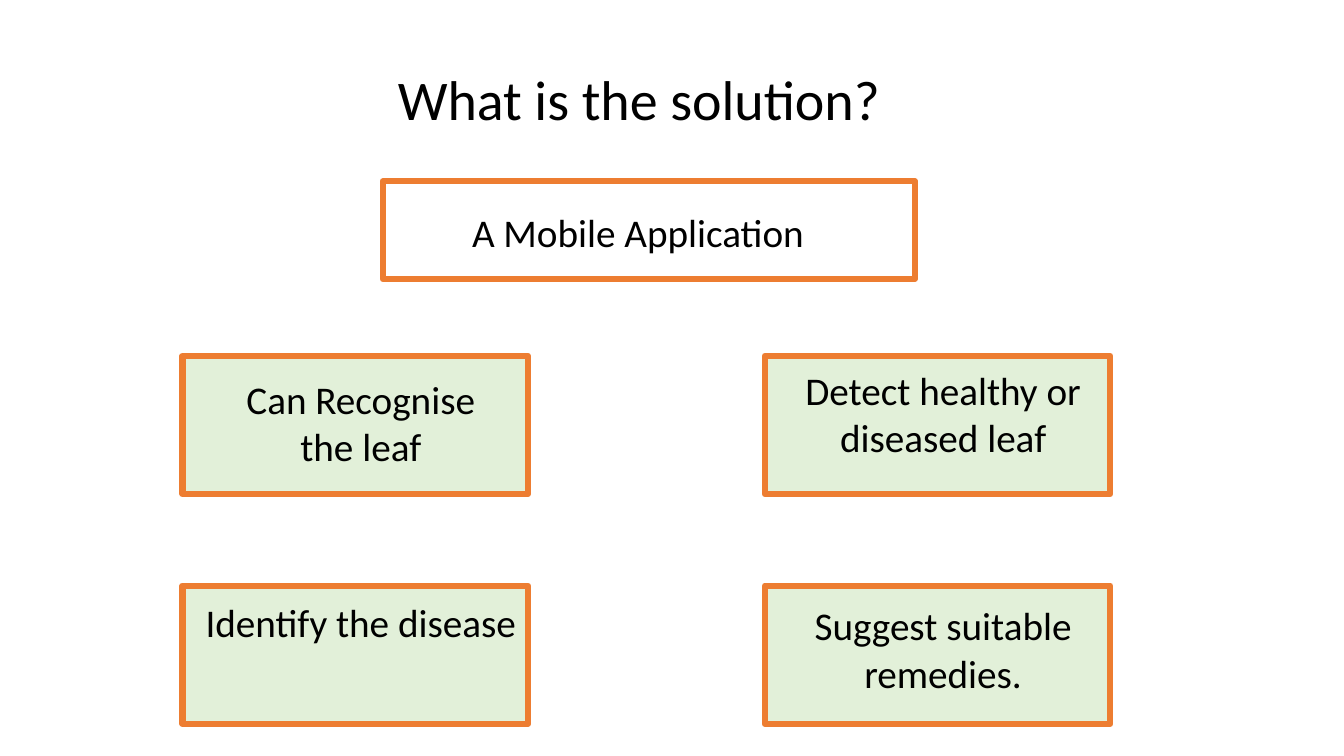
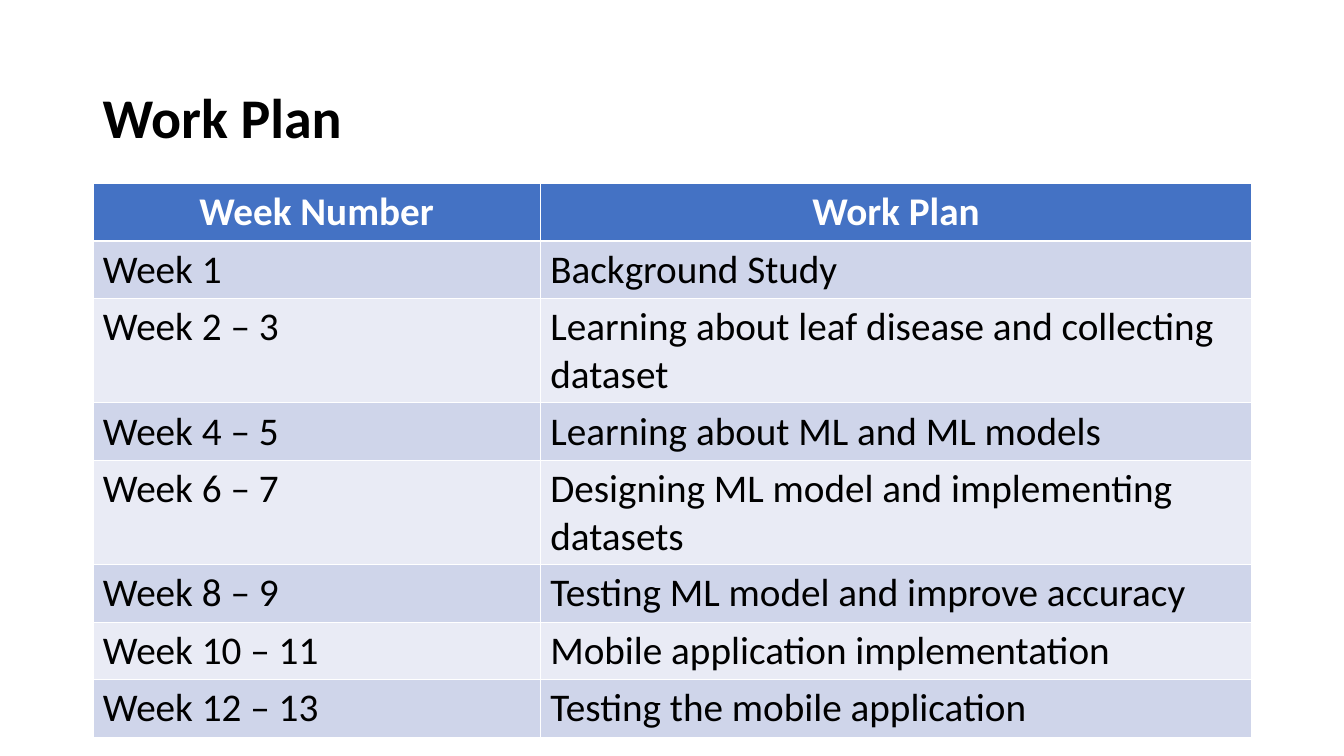
from dataclasses import dataclass
from itertools import product
from typing import NamedTuple, Optional

from lxml.etree import SubElement
from pptx import Presentation
from pptx.dml.color import RGBColor as Color
from pptx.enum.shapes import MSO_SHAPE as ShapeKind
from pptx.enum.text import MSO_ANCHOR as Anchor, PP_ALIGN as Align
from pptx.oxml.ns import qn
from pptx.util import Cm, Pt


@dataclass(frozen=True)
class Theme:
    """Colours, font, type sizes and line widths of the presentation."""
    font: str = "Calibri"
    title_size: float = 40
    body_size: float = 28
    box_line: float = 4.5
    grid_line: float = 0.45
    header_line: float = 1.5
    text: str = "000000"
    light: str = "FFFFFF"
    accent: str = "ED7D31"
    box_fill: str = "E2F0D9"
    header_fill: str = "4472C4"
    bands: tuple = ("CFD5EA", "E9EBF5")


class Area(NamedTuple):
    """Place and size in centimetres."""
    left: float
    top: float
    width: float
    height: float

    def lengths(self) -> list:
        """Return the four values as lengths."""
        return [Cm(value) for value in self]


class Feature(NamedTuple):
    """Lines of a feature label and its drop below the box top."""
    lines: tuple
    drop: float
    height: float = 2.64


class Task(NamedTuple):
    """One row of the work plan."""
    weeks: str
    work: str
    height: float = 1.45


THEME = Theme()

SOLUTION_TITLE = Area(9.78, 1.04, 13.31, 2.44)
PLAN_TITLE = Area(2.34, 1.02, 29.21, 2.9)
APPLICATION_BOX = Area(9.65, 4.57, 13.41, 2.46)
APPLICATION_LABEL = Area(11.07, 5.13, 11.07, 1.45)
APPLICATION_INDENT = 0.83

FEATURE_LEFTS = (4.6, 19.28)
FEATURE_TOPS = (8.97, 14.76)
FEATURE_WIDTH, FEATURE_HEIGHT = 8.71, 3.48
LABEL_WIDTH = 8.99
FEATURES = (
    Feature(("Can Recognise", "the leaf"), 0.36),
    Feature(("Detect healthy or diseased leaf",), 0.13),
    Feature(("Identify the disease",), 0.2, 1.45),
    Feature(("Suggest suitable remedies.",), 0.28),
)

PLAN_LEFT, PLAN_TOP = 2.34, 4.62
PLAN_WIDTHS = (11.28, 17.93)
TALL_ROW = 2.62
PLAN = (
    Task("Week Number", "Work Plan"),
    Task("Week 1", "Background Study"),
    Task("Week 2 – 3", "Learning about leaf disease and collecting dataset", TALL_ROW),
    Task("Week 4 – 5", "Learning about ML and ML models"),
    Task("Week 6 – 7", "Designing ML model and implementing datasets", TALL_ROW),
    Task("Week 8 – 9", "Testing ML model and improve accuracy"),
    Task("Week 10 – 11", "Mobile application implementation"),
    Task("Week 12 – 13", "Testing the mobile application"),
)


def add_run(paragraph, text: str, size: float = THEME.body_size,
            color: str = THEME.text, bold: bool = False) -> None:
    """Add one formatted run to a paragraph."""
    run = paragraph.add_run()
    run.text = text
    run.font.name = THEME.font
    run.font.size = Pt(size)
    run.font.bold = bold
    run.font.color.rgb = Color.from_string(color)


def add_text_frame(slide, area: Area, anchor: Anchor = Anchor.TOP):
    """Add a wrapping text box and return its text frame."""
    frame = slide.shapes.add_textbox(*area.lengths()).text_frame
    frame.word_wrap = True
    frame.vertical_anchor = anchor
    return frame


def add_title(slide, area: Area, text: str, bold: bool = False) -> None:
    """Add a slide title that sits on the bottom of its area."""
    paragraph = add_text_frame(slide, area, Anchor.BOTTOM).paragraphs[0]
    paragraph.line_spacing = 0.9
    add_run(paragraph, text, THEME.title_size, bold=bold)


def add_box(slide, area: Area, fill: Optional[str] = None) -> None:
    """Add an outlined rectangle, filled if a colour is given."""
    box = slide.shapes.add_shape(ShapeKind.RECTANGLE, *area.lengths())
    box.shadow.inherit = False
    box.line.color.rgb = Color.from_string(THEME.accent)
    box.line.width = Pt(THEME.box_line)
    if fill:
        box.fill.solid()
        box.fill.fore_color.rgb = Color.from_string(fill)
    else:
        box.fill.background()


def add_feature(slide, left: float, top: float, feature: Feature) -> None:
    """Add a feature box with its centred label."""
    add_box(slide, Area(left, top, FEATURE_WIDTH, FEATURE_HEIGHT), THEME.box_fill)
    label = Area(left, top + feature.drop, LABEL_WIDTH, feature.height)
    frame = add_text_frame(slide, label)
    for index, line in enumerate(feature.lines):
        paragraph = frame.add_paragraph() if index else frame.paragraphs[0]
        paragraph.alignment = Align.CENTER
        add_run(paragraph, line)


def set_borders(cell, top: float, bottom: float) -> None:
    """Draw the four cell borders, ahead of the fill in the cell properties."""
    properties = cell._tc.get_or_add_tcPr()
    widths = {"a:lnL": THEME.grid_line, "a:lnR": THEME.grid_line,
              "a:lnT": top, "a:lnB": bottom}
    for index, (tag, width) in enumerate(widths.items()):
        line = SubElement(properties, qn(tag), w=str(Pt(width)))
        fill = SubElement(line, qn("a:solidFill"))
        SubElement(fill, qn("a:srgbClr"), val=THEME.light)
        properties.insert(index, line)


def fill_cell(cell, text: str, row: int) -> None:
    """Write and style one cell of the work plan."""
    header = row == 0
    cell.fill.solid()
    cell.fill.fore_color.rgb = Color.from_string(
        THEME.header_fill if header else THEME.bands[(row - 1) % 2])
    set_borders(cell,
                top=THEME.header_line if row == 1 else THEME.grid_line,
                bottom=THEME.header_line if header else THEME.grid_line)
    paragraph = cell.text_frame.paragraphs[0]
    paragraph.alignment = Align.CENTER if header else Align.LEFT
    add_run(paragraph, text, color=THEME.light if header else THEME.text, bold=header)


def add_plan(slide) -> None:
    """Add the work plan table."""
    area = Area(PLAN_LEFT, PLAN_TOP, sum(PLAN_WIDTHS), sum(task.height for task in PLAN))
    table = slide.shapes.add_table(len(PLAN), len(PLAN_WIDTHS), *area.lengths()).table
    table.horz_banding = False
    for column, width in zip(table.columns, PLAN_WIDTHS):
        column.width = Cm(width)
    for row, task in enumerate(PLAN):
        table.rows[row].height = Cm(task.height)
        for column, text in enumerate((task.weeks, task.work)):
            fill_cell(table.cell(row, column), text, row)


def build_solution(slide) -> None:
    """Build the slide with the application and its four features."""
    add_title(slide, SOLUTION_TITLE, "What is the solution?")
    add_box(slide, APPLICATION_BOX)
    frame = add_text_frame(slide, APPLICATION_LABEL)
    frame.margin_left = Cm(APPLICATION_INDENT)
    add_run(frame.paragraphs[0], "A Mobile Application")
    for (top, left), feature in zip(product(FEATURE_TOPS, FEATURE_LEFTS), FEATURES):
        add_feature(slide, left, top, feature)


def build_work_plan(slide) -> None:
    """Build the slide with the weekly work plan."""
    add_title(slide, PLAN_TITLE, "Work Plan", bold=True)
    add_plan(slide)


def main() -> None:
    """Build and save the presentation."""
    presentation = Presentation()
    presentation.slide_width = Cm(33.88)
    presentation.slide_height = Cm(19.05)
    blank = presentation.slide_layouts[6]
    for build in (build_solution, build_work_plan):
        build(presentation.slides.add_slide(blank))
    presentation.save("out.pptx")


main()
